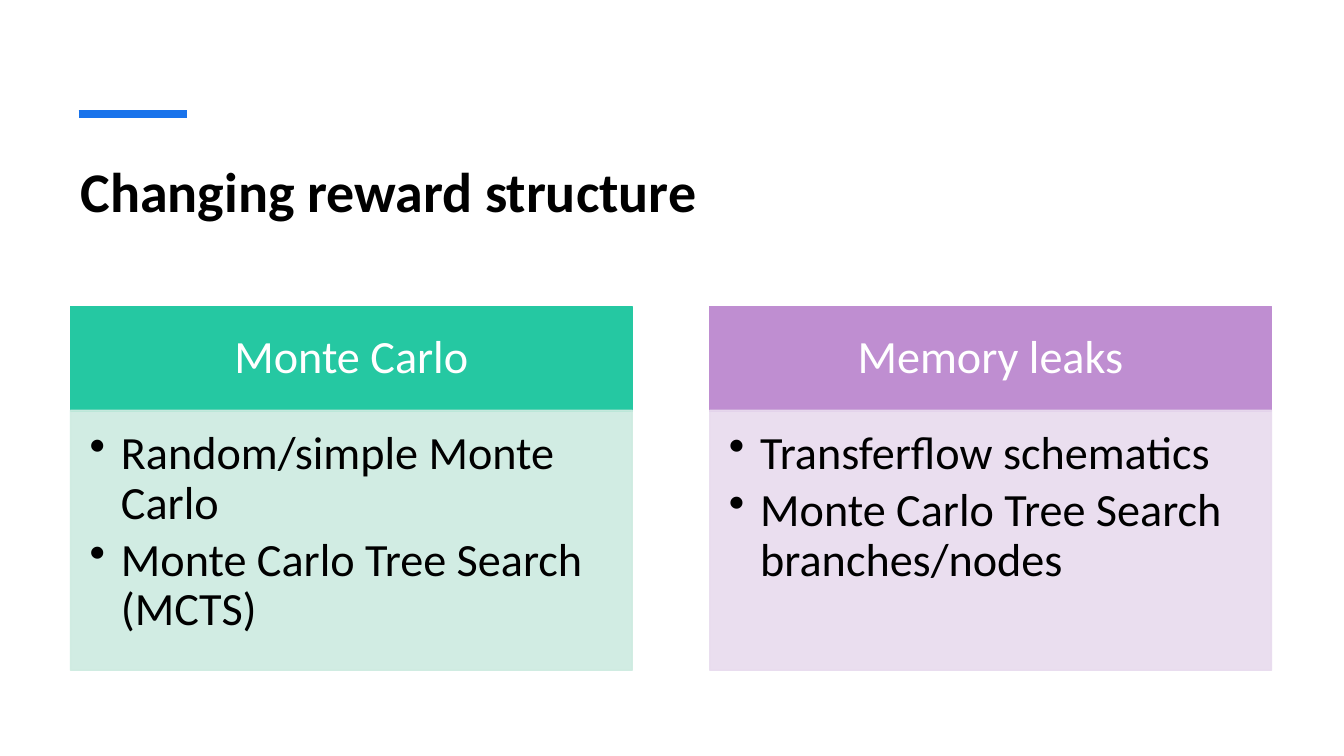
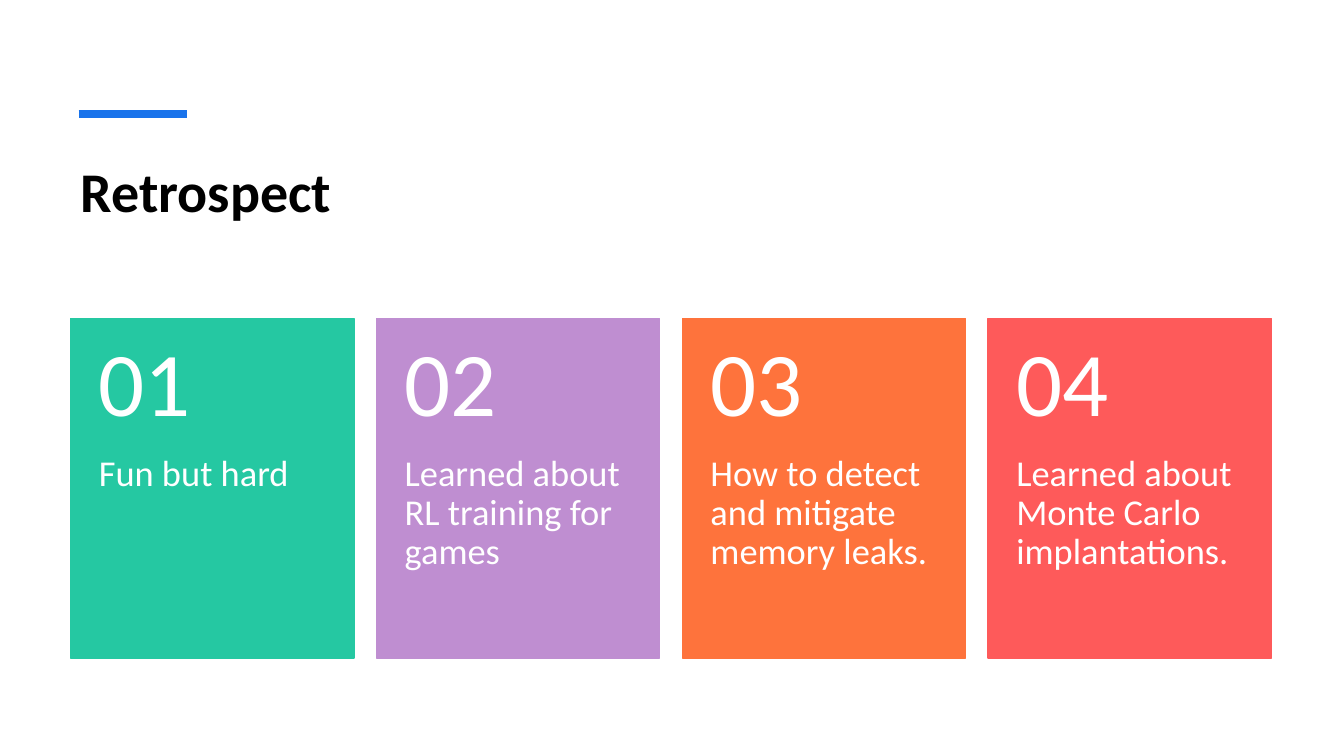
from lxml.etree import SubElement
from pptx import Presentation
from pptx.dml.color import RGBColor
from pptx.enum.shapes import MSO_CONNECTOR as CONNECTOR, MSO_SHAPE as SHAPE
from pptx.enum.text import MSO_ANCHOR as ANCHOR, PP_ALIGN as ALIGN
from pptx.oxml.ns import qn
from pptx.util import Inches, Pt

BLACK, WHITE, BLUE = "000000", "FFFFFF", "1973EB"
GREEN, PURPLE, ORANGE, RED = "25C8A2", "BF8ED1", "FE733C", "FE5A5A"
PALE_GREEN, PALE_PURPLE = "CDEBE0", "E8DBEE"
LEFT, WIDTH = 0.7, 11.91


def rgb(code):
    return RGBColor.from_string(code)


def set_all(target, values):
    for name, value in values.items():
        setattr(target, name, value)


def spread(count, width):
    gap = (WIDTH - count * width) / (count - 1)
    return [LEFT + i * (width + gap) for i in range(count)]


class Deck:
    """Holds the shared style and the slide being built."""

    font = "Calibri"

    def __init__(self):
        self.prs = Presentation()
        set_all(self.prs, {"slide_width": Inches(13.33), "slide_height": Inches(7.5)})
        self.slide = None

    def start(self, title):
        self.slide = self.prs.slides.add_slide(self.prs.slide_layouts[5])
        heading = self.slide.shapes.title
        box = {"left": LEFT, "top": 1.5, "width": WIDTH, "height": 1.2}
        set_all(heading, {side: Inches(size) for side, size in box.items()})
        self.put_text(heading, [title], 40, BLACK, (0.1, 0.05, 0.1, 0.05),
                      spacing=1, bold=True)
        self.accent()

    def accent(self):
        rule = self.slide.shapes.add_connector(
            CONNECTOR.STRAIGHT, Inches(0.78), Inches(1.13), Inches(1.85), Inches(1.13))
        rule.line.color.rgb = rgb(BLUE)
        rule.line.width = Pt(6)
        SubElement(rule._element.spPr, qn("a:effectLst"))

    def panel(self, x, y, w, h, color, opacity=100):
        panel = self.slide.shapes.add_shape(
            SHAPE.RECTANGLE, Inches(x), Inches(y), Inches(w), Inches(h))
        panel.shadow.inherit = False
        panel.fill.solid()
        panel.fill.fore_color.rgb = rgb(color)
        panel.line.color.rgb = rgb(color)
        panel.line.width = Pt(1)
        if opacity < 100:
            for tint in panel._element.spPr.iter(qn("a:srgbClr")):
                SubElement(tint, qn("a:alpha"), val=str(opacity * 1000))
        return panel

    def label(self, x, y, w, h, text, size, insets, anchor=ANCHOR.TOP):
        label = self.slide.shapes.add_textbox(Inches(x), Inches(y), Inches(w), Inches(h))
        self.put_text(label, [text], size, WHITE, insets, anchor)

    def put_text(self, holder, lines, size, color, insets, anchor=ANCHOR.TOP,
                 align=ALIGN.LEFT, spacing=0.9, bold=False, bullets=False):
        frame = holder.text_frame
        sides = ("margin_left", "margin_top", "margin_right", "margin_bottom")
        set_all(frame, {side: Inches(inset) for side, inset in zip(sides, insets)})
        set_all(frame, {"word_wrap": True, "vertical_anchor": anchor})
        frame.text = "\n".join(lines)
        for paragraph in frame.paragraphs:
            set_all(paragraph, {"alignment": align, "line_spacing": spacing})
            set_all(paragraph.font, {"name": self.font, "size": Pt(size), "bold": bold})
            paragraph.font.color.rgb = rgb(color)
            if bullets:
                self.bullet(paragraph)

    def bullet(self, paragraph):
        paragraph.space_after = Pt(5)
        props = paragraph._p.get_or_add_pPr()
        indent = Inches(0.31)
        props.set("marL", str(indent))
        props.set("indent", str(-indent))
        mark = props.makeelement(qn("a:buChar"), {"char": "•"})
        props.insert_element_before(mark, "a:tabLst", "a:defRPr", "a:extLst")

    def topic(self, x, w, name, points, color, pale):
        header = self.panel(x, 3.04, w, 1.04, color)
        self.put_text(header, [name], 33, WHITE, (0.26, 0.15, 0.26, 0.15),
                      ANCHOR.MIDDLE, ALIGN.CENTER)
        body = self.panel(x, 4.07, w, 2.58, pale, opacity=90)
        self.put_text(body, points, 33, BLACK, (0.19, 0.19, 0.26, 0.29), bullets=True)

    def card(self, x, w, number, lesson, color):
        self.panel(x, 3.16, w, 3.37, color)
        self.label(x, 4.51, w, 2.02, lesson, 26, (0.28, 0, 0.28, 0.36))
        self.label(x, 3.16, w, 1.35, f"{number:02}", 65,
                   (0.28, 0.18, 0.28, 0.18), ANCHOR.MIDDLE)


def main():
    deck = Deck()

    deck.start("Changing reward structure")
    topics = [
        ("Monte Carlo", ["Random/simple Monte Carlo", "Monte Carlo Tree Search (MCTS)"],
         GREEN, PALE_GREEN),
        ("Memory leaks", ["Transferflow schematics", "Monte Carlo Tree Search branches/nodes"],
         PURPLE, PALE_PURPLE),
    ]
    topic_width = 5.57
    for x, topic in zip(spread(len(topics), topic_width), topics):
        deck.topic(x, topic_width, *topic)

    deck.start("Retrospect")
    lessons = [
        ("Fun but hard", GREEN),
        ("Learned about RL training for games", PURPLE),
        ("How to detect and mitigate memory leaks.", ORANGE),
        ("Learned about Monte Carlo implantations.", RED),
    ]
    card_width = 2.81
    columns = spread(len(lessons), card_width)
    for number, (x, lesson) in enumerate(zip(columns, lessons), 1):
        deck.card(x, card_width, number, *lesson)

    deck.prs.save("out.pptx")


if __name__ == "__main__":
    main()
